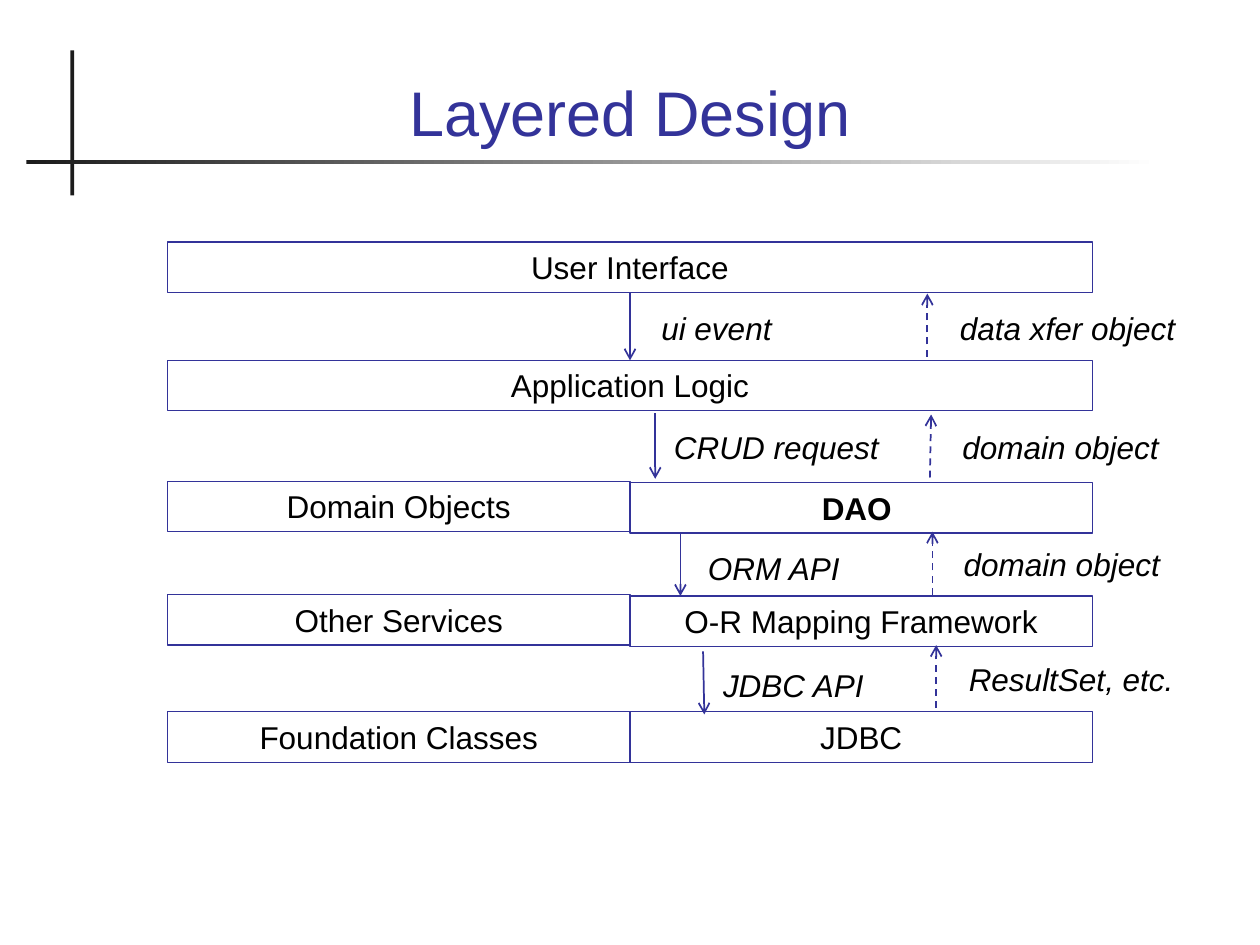
from typing import NamedTuple

from lxml import etree
from pptx import Presentation
from pptx.dml.color import RGBColor
from pptx.enum.dml import MSO_LINE
from pptx.enum.shapes import MSO_CONNECTOR, MSO_SHAPE
from pptx.enum.text import MSO_ANCHOR, MSO_AUTO_SIZE, PP_ALIGN
from pptx.oxml.ns import qn
from pptx.util import Inches, Pt

RECT = MSO_SHAPE.RECTANGLE
STRAIGHT = MSO_CONNECTOR.STRAIGHT
DASH = MSO_LINE.DASH
TOP, BOTTOM = MSO_ANCHOR.TOP, MSO_ANCHOR.BOTTOM
LEFT, CENTER = PP_ALIGN.LEFT, PP_ALIGN.CENTER
GROW = MSO_AUTO_SIZE.SHAPE_TO_FIT_TEXT

INDIGO = RGBColor(0x33, 0x33, 0x99)
CHARCOAL = RGBColor(0x1C, 0x1C, 0x1C)
BLACK = RGBColor(0, 0, 0)
WHITE = RGBColor(0xFF, 0xFF, 0xFF)

FONT = "Arial"
ROW_H = 0.4
STACK_X, MIDDLE_X = 1.33, 5
HALF_W = MIDDLE_X - STACK_X
BOTTOM_SITE, TOP_SITE = 2, 0


class Layer(NamedTuple):
    text: str
    x: float
    y: float
    w: float = HALF_W
    bold: bool = False


class Flow(NamedTuple):
    x1: float
    y1: float
    x2: float
    y2: float
    text: str
    label_x: float
    label_y: float
    label_w: float
    dashed: bool = False
    ends: tuple = ()


LAYERS = [
    Layer("User Interface", STACK_X, 1.92, 2 * HALF_W),
    Layer("Application Logic", STACK_X, 2.86, 2 * HALF_W),
    Layer("Domain Objects", STACK_X, 3.82),
    Layer("DAO ", MIDDLE_X, 3.83, bold=True),
    Layer("O-R Mapping Framework", MIDDLE_X, 4.73),
    Layer("Other Services", STACK_X, 4.72),
    Layer("JDBC", MIDDLE_X, 5.65),
    Layer("Foundation Classes", STACK_X, 5.65),
]

FLOWS = [
    # Requests going down
    Flow(5, 2.33, 5, 2.85, "ui event", 5.15, 2.4, 1.3,
         ends=("User Interface", "Application Logic")),
    Flow(5.2, 3.28, 5.2, 3.8, "CRUD request", 5.25, 3.35, 1.92),
    Flow(5.4, 4.24, 5.4, 4.73, "ORM API", 5.52, 4.31, 1.7),
    Flow(5.58, 5.17, 5.59, 5.67, "JDBC API", 5.64, 5.24, 1.7),
    # Results coming back up
    Flow(7.36, 2.83, 7.36, 2.33, "data xfer object", 7.52, 2.4, 2.01, True),
    Flow(7.38, 3.79, 7.39, 3.29, "domain object", 7.54, 3.35, 2.01, True),
    Flow(7.4, 4.72, 7.4, 4.22, "domain object", 7.55, 4.28, 1.88, True),
    Flow(7.43, 5.62, 7.43, 5.12, "ResultSet, etc.", 7.59, 5.19, 1.88, True),
]


def write(sp, text: str, size: float = 18, color: RGBColor = BLACK,
          align=CENTER, anchor=TOP, bold: bool = False,
          italic: bool = False) -> None:
    tf = sp.text_frame
    tf.word_wrap = True
    tf.vertical_anchor = anchor
    p = tf.paragraphs[0]
    p.alignment = align
    r = p.add_run()
    r.text = text
    r.font.name = FONT
    r.font.size = Pt(size)
    r.font.color.rgb = color
    r.font.bold = bold
    r.font.italic = italic


def add_rect(s, x: float, y: float, w: float, h: float):
    sp = s.shapes.add_shape(RECT, Inches(x), Inches(y), Inches(w), Inches(h))
    sp.shadow.inherit = False
    return sp


def add_text(s, x: float, y: float, w: float, h: float):
    return s.shapes.add_textbox(Inches(x), Inches(y), Inches(w), Inches(h))


def add_rules(s) -> None:
    upright = add_rect(s, 0.56, 0.4, 0.03, 1.15)
    upright.fill.solid()
    upright.fill.fore_color.rgb = CHARCOAL
    upright.line.fill.background()

    fading = add_rect(s, 0.21, 1.27, 8.99, 0.03)
    fading.fill.gradient()
    fading.fill.gradient_angle = 0
    for stop, color, position in zip(fading.fill.gradient_stops,
                                     (CHARCOAL, WHITE), (0, 1)):
        stop.color.rgb = color
        stop.position = position
    fading.line.fill.background()


def add_layer(s, layer: Layer):
    sp = add_rect(s, layer.x, layer.y, layer.w, ROW_H)
    sp.fill.background()
    sp.line.color.rgb = INDIGO
    sp.line.width = Pt(0.75)
    write(sp, layer.text, bold=layer.bold)
    sp.text_frame.auto_size = GROW
    return sp


def add_flow(s, flow: Flow, boxes: dict) -> None:
    arrow = s.shapes.add_connector(STRAIGHT, Inches(flow.x1), Inches(flow.y1),
                                   Inches(flow.x2), Inches(flow.y2))
    if flow.ends:
        source, target = flow.ends
        arrow.begin_connect(boxes[source], BOTTOM_SITE)
        arrow.end_connect(boxes[target], TOP_SITE)
    arrow.line.color.rgb = INDIGO
    arrow.line.width = Pt(1)
    if flow.dashed:
        arrow.line.dash_style = DASH
    # Open arrowhead, no shadow
    sp_pr = arrow.line._get_or_add_ln().getparent()
    etree.SubElement(sp_pr.find(qn("a:ln")), qn("a:tailEnd"), type="arrow")
    etree.SubElement(sp_pr, qn("a:effectLst"))

    label = add_text(s, flow.label_x, flow.label_y, flow.label_w, ROW_H)
    write(label, flow.text, align=LEFT, italic=True)
    label.text_frame.auto_size = GROW


def main() -> None:
    prs = Presentation()
    prs.slide_width, prs.slide_height = Inches(10), Inches(7.5)
    s = prs.slides.add_slide(prs.slide_layouts[6])

    # Heading
    add_rules(s)
    title = add_text(s, 0.67, 0.28, 8.66, 0.95)
    write(title, "Layered Design", size=36, color=INDIGO, anchor=BOTTOM)

    # Layer stack and the calls between layers
    boxes = {layer.text: add_layer(s, layer) for layer in LAYERS}
    for flow in FLOWS:
        add_flow(s, flow, boxes)

    prs.save("out.pptx")


if __name__ == "__main__":
    main()
